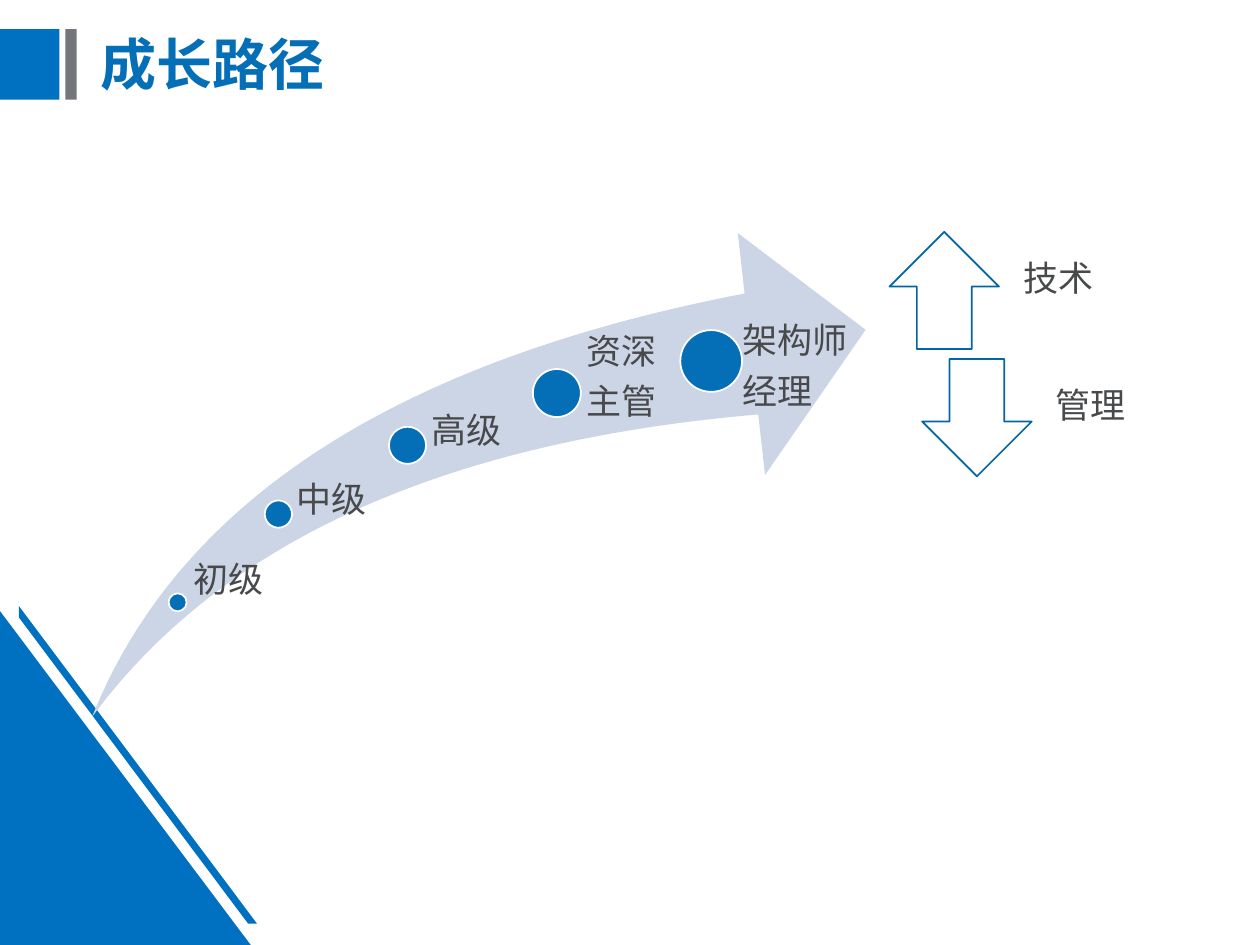
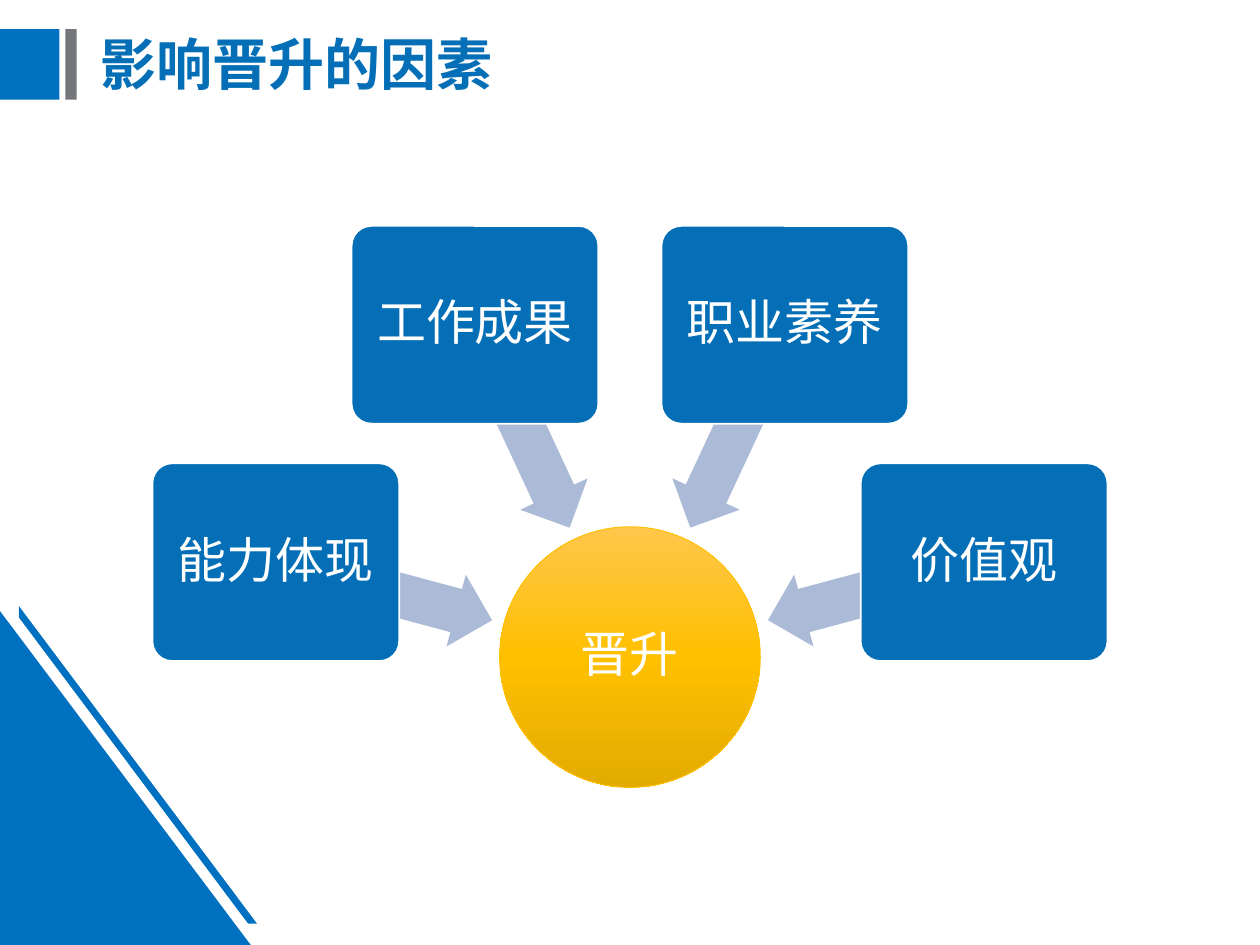
"""Build two slides on career growth and promotion factors."""
import copy
import math

from pptx import Presentation
from pptx import util as u
from pptx.dml.color import RGBColor
from pptx.enum import lang, shapes, text
from pptx.oxml import ns

Pt = u.Pt
SHAPE = shapes.MSO_SHAPE
ANCHOR = text.MSO_ANCHOR
ALIGN = text.PP_ALIGN

WHITE = RGBColor(0xFF, 0xFF, 0xFF)
BAND_BLUE = RGBColor(0x00, 0x70, 0xC0)
BAND_GREY = RGBColor(0x73, 0x76, 0x7A)
BLUE = RGBColor(0x04, 0x6F, 0xB6)
EDGE_BLUE = RGBColor(0x04, 0x65, 0xA5)
INK = RGBColor(0x47, 0x49, 0x4B)
SWOOSH = RGBColor(0xCC, 0xD5, 0xE5)
ARROW = RGBColor(0xAB, 0xBB, 0xD7)
GOLD = RGBColor(0xFF, 0xC0, 0x00)
GOLD_LIGHT = RGBColor(0xFF, 0xC6, 0x4B)
GOLD_DARK = RGBColor(0xE3, 0xAB, 0x00)

TITLE = dict(name="Noto Sans CJK SC", size=Pt(32), bold=True)
LABEL = dict(name="Calibri", size=Pt(20))
BOX_TEXT = dict(name="Calibri", size=Pt(28))

STEPS = [
    (101.5, 344.2, 10.3, (105.1, 321.1, 57.6, 65.5), ["初级"]),
    (159.1, 293.8, 15.6, (161.3, 275.8, 73.4, 115.9), ["中级"]),
    (232.9, 254.5, 21.2, (235.4, 236.2, 85.7, 155.5), ["高级"]),
    (318.2, 224.6, 27.4, (320.4, 190.8, 88.6, 185), ["资深", "主管"]),
    (406.4, 206.3, 35.3, (405.4, 185, 88.6, 203), ["架构师", "经理"]),
]
TRACKS = [
    (SHAPE.UP_ARROW, 508.3, 132.5, "技术"),
    (SHAPE.DOWN_ARROW, 527, 205.2, "管理"),
]
FACTORS = ["能力体现", "工作成果", "职业素养", "价值观"]


def paint(sp, fill, line=None, width=1):
    """Give a shape a flat fill and an optional outline."""
    sp.shadow.inherit = False
    sp.fill.solid()
    sp.fill.fore_color.rgb = fill
    if line is None:
        sp.line.fill.background()
    else:
        sp.line.color.rgb = line
        sp.line.width = Pt(width)


def add_shape(s, kind, box, fill, line=None, width=1, adj=()):
    """Add a preset shape at a box given in points."""
    sp = s.shapes.add_shape(kind, *map(Pt, box))
    paint(sp, fill, line, width)
    for i, value in enumerate(adj):
        sp.adjustments[i] = value
    return sp


def centred(x, y, w, h):
    """Return the box of a given size around a centre."""
    return x - w / 2, y - h / 2, w, h


def write(tf, lines, font, color, align=ALIGN.LEFT, after=0):
    """Write one paragraph per line in a single format."""
    tf.word_wrap = True
    for i, line in enumerate(lines):
        p = tf.add_paragraph() if i else tf.paragraphs[0]
        for key, value in dict(alignment=align, line_spacing=0.9, space_after=Pt(after)).items():
            setattr(p, key, value)
        r = p.add_run()
        r.text = line
        for key, value in font.items():
            setattr(r.font, key, value)
        r.font.color.rgb = color
        r.font.language_id = lang.MSO_LANGUAGE_ID.SIMPLIFIED_CHINESE
        latin = r.font.element if hasattr(r.font, "element") else r.font._element
        ea = latin.makeelement(ns.qn("a:ea"), {"typeface": font["name"]})
        latin.find(ns.qn("a:latin")).addnext(ea)


def set_frame(tf, insets, anchor):
    """Set the left, top, right and bottom insets and the anchor."""
    for side, inset in zip(("left", "top", "right", "bottom"), insets):
        setattr(tf, f"margin_{side}", Pt(inset))
    tf.vertical_anchor = anchor


def add_label(s, box, lines, insets, anchor=ANCHOR.TOP):
    """Add a dark text box."""
    tf = s.shapes.add_textbox(*map(Pt, box)).text_frame
    set_frame(tf, insets, anchor)
    write(tf, lines, LABEL, INK, after=7)


def write_inside(sp, words, inset):
    """Write white centred words in a shape."""
    set_frame(sp.text_frame, [inset] * 4, ANCHOR.MIDDLE)
    write(sp.text_frame, [words], BOX_TEXT, WHITE, ALIGN.CENTER, after=9.8)


def add_slide(prs, layout, title):
    """Add a slide with its title."""
    s = prs.slides.add_slide(layout)
    sp = s.shapes.title
    for key, value in dict(left=50, top=7.2, width=640.8, height=62.6).items():
        setattr(sp, key, Pt(value))
    sp.text_frame.vertical_anchor = ANCHOR.MIDDLE
    write(sp.text_frame, [title], TITLE, BLUE)
    return s


def decorate_layout(s, layout):
    """Draw the title bars and corner, then hand them to the layout."""
    corner = [(10.8, 346.3), (146.9, 527.8), (141.8, 527.8), (10.8, 352.8)]
    points = [tuple(map(Pt, point)) for point in corner]
    fb = s.shapes.build_freeform(*points[0])
    fb.add_line_segments(points[1:])
    stripe = fb.convert_to_shape()
    paint(stripe, BAND_BLUE)
    parts = [
        add_shape(s, SHAPE.RECTANGLE, (0, 16.6, 34, 40.3), BAND_BLUE),
        add_shape(s, SHAPE.RECTANGLE, (37.4, 16.6, 6.5, 40.3), BAND_GREY),
        add_shape(s, SHAPE.RIGHT_TRIANGLE, (0, 349.2, 143.3, 190.8), BAND_BLUE),
        stripe,
    ]
    for i, sp in enumerate(parts):
        sp.element.nvSpPr.cNvPr.set("id", str(20 + i))
        layout.shapes.element.insert(2 + i, sp.element)


def draw_path(s):
    """Draw the growth swoosh, its steps and the two tracks."""
    for kind, x, y, name in TRACKS:
        add_shape(s, kind, (x, y, 62.6, 67), WHITE, EDGE_BLUE)
        add_label(s, (x + 64.8, y, 105.8, 67), [name], (11.5, 0, 11.5, 11.5), ANCHOR.MIDDLE)
    add_shape(s, SHAPE.SWOOSH_ARROW, (52.6, 133.2, 442, 276.5), SWOOSH, adj=(0.25, 0.25))
    for x, y, size, box, lines in STEPS:
        add_shape(s, SHAPE.OVAL, centred(x, y, size, size), BLUE, WHITE)
        add_label(s, box, lines, (size * 0.53, 0, 0, 0))


def shade_gold(sp):
    """Fill a shape with a three-stop vertical gold gradient."""
    sp.fill.gradient()
    sp.fill.gradient_angle = 270
    stops = sp.element.spPr.find(".//" + ns.qn("a:gsLst"))
    stops.insert(1, copy.deepcopy(stops[0]))
    colors = [GOLD_LIGHT, GOLD, GOLD_DARK]
    for i, (stop, color) in enumerate(zip(sp.fill.gradient_stops, colors)):
        stop.position = i / 2
        stop.color.rgb = color


def draw_factors(s):
    """Draw the hub with the factors on an arc around it."""
    x, y = 360, 375.5
    hub = add_shape(s, SHAPE.OVAL, centred(x, y, 149, 149), GOLD, GOLD, 0.5)
    shade_gold(hub)
    write_inside(hub, "晋升", 1.4)
    for i, name in enumerate(FACTORS):
        angle = 195 + 50 * i
        dx, dy = math.cos(math.radians(angle)), math.sin(math.radians(angle))
        box = centred(x + 145.3 * dx, y + 145.3 * dy, 127.4, 42.5)
        arrow = add_shape(s, SHAPE.LEFT_ARROW, box, ARROW, adj=(0.6, 0.5))
        arrow.rotation = angle
        box = centred(x + 209.5 * dx, y + 209.5 * dy, 141, 113)
        factor = add_shape(s, SHAPE.ROUNDED_RECTANGLE, box, BLUE, WHITE, adj=(0.1,))
        write_inside(factor, name, 4.3)


def main():
    """Build and save the deck."""
    prs = Presentation()
    prs.slide_width, prs.slide_height = Pt(720), Pt(540)
    layout = prs.slide_layouts[5]
    s = add_slide(prs, layout, "成长路径")
    decorate_layout(s, layout)
    draw_path(s)
    draw_factors(add_slide(prs, layout, "影响晋升的因素"))
    prs.save("out.pptx")


if __name__ == "__main__":
    main()
